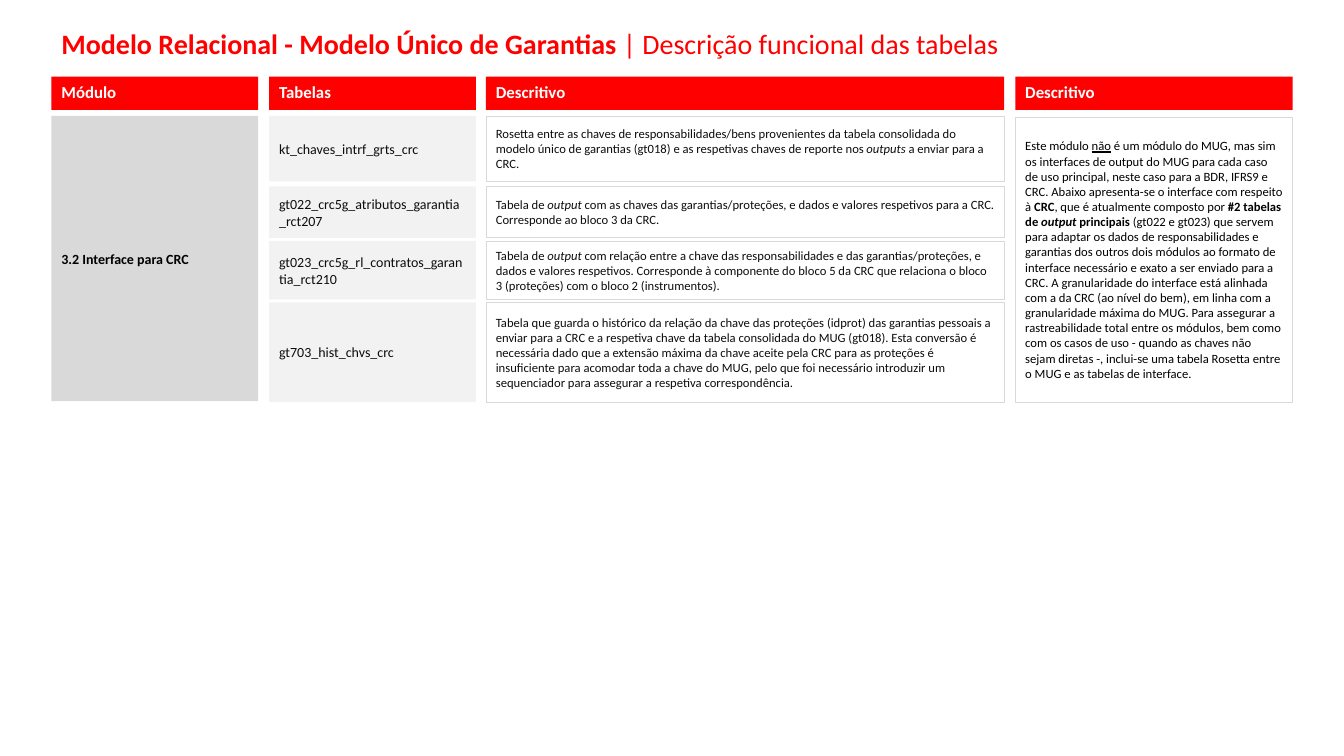
from collections import namedtuple
from pptx import Presentation
from pptx.dml.color import RGBColor
from pptx.enum.shapes import MSO_SHAPE
from pptx.enum.text import MSO_ANCHOR, PP_ALIGN
from pptx.util import Inches, Pt

Box = namedtuple("Box", "left top width height")
Style = namedtuple("Style", "fill color size bold line inset", defaults=(False, None, 0.05))

HEADER = Style("FF0000", "FFFFFF", 12, True)
MODULE = Style("D9D9D9", "000000", 10, True)
TABLE_NAME = Style("F2F2F2", "0D0D0D", 10)
DESCRIPTION = Style("FFFFFF", "0D0D0D", 9, line="D9D9D9", inset=0)
SUMMARY = Style("FFFFFF", "000000", 9, line="D9D9D9")

COLUMNS = [(0, 2.05), (2.16, 2.05), (4.31, 5.14), (9.56, 2.75)]
ROWS = [(0, 0.65), (0.7, 0.51), (1.24, 0.58), (1.85, 0.99)]
HEADINGS = ["Módulo", "Tabelas", "Descritivo", "Descritivo"]
TITLE = [
    ("Modelo Relacional - Modelo Único de Garantias ", "b"),
    ("| Descrição funcional das tabelas", ""),
]
TABLES = [
    ("kt_chaves_intrf_grts_crc", [
        ("Rosetta entre as chaves de responsabilidades/bens provenientes da tabela consolidada do modelo "
         "único de garantias (gt018) e as respetivas chaves de reporte nos ", ""),
        ("outputs", "i"),
        (" a enviar para a CRC.", "")]),
    ("gt022_crc5g_atributos_garantia_rct207", [
        ("Tabela de ", ""),
        ("output ", "i"),
        ("com as chaves das garantias/proteções, e dados e valores respetivos para a CRC. "
         "Corresponde ao bloco 3 da CRC.", "")]),
    ("gt023_crc5g_rl_contratos_garantia_rct210", [
        ("Tabela de ", ""),
        ("output", "i"),
        (" com relação entre a chave das responsabilidades e das garantias/proteções, e dados e valores "
         "respetivos. Corresponde à componente do bloco 5 da CRC que relaciona o bloco 3 (proteções) "
         "com o bloco 2 (instrumentos).", "")]),
    ("gt703_hist_chvs_crc", [
        ("Tabela que guarda o histórico da relação da chave das proteções (idprot) das garantias pessoais "
         "a enviar para a CRC e a respetiva chave da tabela consolidada do MUG (gt018). Esta conversão é "
         "necessária dado que a extensão máxima da chave aceite pela CRC para as proteções é insuficiente "
         "para acomodar toda a chave do MUG, pelo que foi necessário introduzir um sequenciador para "
         "assegurar a respetiva correspondência.", "")]),
]
SUMMARY_TEXT = [
    ("Este módulo ", ""),
    ("não", "u"),
    (" é um módulo do MUG, mas sim os interfaces de output do MUG para cada caso de uso principal, neste "
     "caso para a BDR, IFRS9 e CRC. Abaixo apresenta-se o interface com respeito à ", ""),
    ("CRC", "b"),
    (", que é atualmente composto por ", ""),
    ("#2 tabelas de ", "b"),
    ("output", "bi"),
    (" principais", "b"),
    (" (gt022 e gt023) que servem para adaptar os dados de responsabilidades e garantias dos outros dois "
     "módulos ao formato de interface necessário e exato a ser enviado para a CRC. A granularidade do "
     "interface está alinhada com a da CRC (ao nível do bem), em linha com a granularidade máxima do MUG. "
     "Para assegurar a rastreabilidade total entre os módulos, bem como com os casos de uso - quando as "
     "chaves não sejam diretas -, inclui-se uma tabela Rosetta entre o MUG e as tabelas de interface.", ""),
]


def paint(color_format, value):
    """Set a colour format to a hex value."""
    color_format.rgb = RGBColor.from_string(value)


def write_spans(frame, spans, size, color, bold=False):
    """Fill a frame with one paragraph of (text, b/i/u flags) spans."""
    frame.word_wrap = True
    para = frame.paragraphs[0]
    para.alignment = PP_ALIGN.LEFT
    for text, flags in spans:
        span = para.add_run()
        span.text = text
        span.font.name = "Calibri"
        span.font.size = Pt(size)
        span.font.bold = bold or "b" in flags
        span.font.italic = "i" in flags
        span.font.underline = "u" in flags
        paint(span.font.color, color)
    return para


def add_cell(page, box, spans, style, anchor=MSO_ANCHOR.MIDDLE):
    """Draw one filled rectangle with its text."""
    cell = page.shapes.add_shape(MSO_SHAPE.RECTANGLE, *map(Inches, box))
    cell.shadow.inherit = False
    cell.fill.solid()
    paint(cell.fill.fore_color, style.fill)
    if style.line:
        paint(cell.line.color, style.line)
        cell.line.width = Pt(0.5)
    else:
        cell.line.fill.background()
    frame = cell.text_frame
    frame.vertical_anchor = anchor
    frame.margin_top = frame.margin_bottom = Inches(style.inset)
    write_spans(frame, spans, style.size, style.color, style.bold)


def add_title(page, box):
    """Place the slide title."""
    title = page.shapes.add_textbox(*map(Inches, box))
    write_spans(title.text_frame, TITLE, 20, "FF0000").line_spacing = 0.9


def add_headings(page, box):
    """Place the red column headings."""
    for (offset, width), heading in zip(COLUMNS, HEADINGS):
        cell_box = Box(box.left + offset, box.top, width, box.height)
        add_cell(page, cell_box, [(heading, "")], HEADER, MSO_ANCHOR.TOP)


def add_body(page, box):
    """Place the module, its tables with descriptions, and the summary."""
    def column_box(column, top=0, height=box.height):
        offset, width = COLUMNS[column]
        return Box(box.left + offset, box.top + top, width, height)

    add_cell(page, column_box(0), [("3.2 Interface para CRC", "")], MODULE)
    for row, (name, description) in zip(ROWS, TABLES):
        add_cell(page, column_box(1, *row), [(name, "")], TABLE_NAME)
        add_cell(page, column_box(2, *row), description, DESCRIPTION)
    add_cell(page, column_box(3, 0.01), SUMMARY_TEXT, SUMMARY)


def main():
    """Build and save the slide."""
    deck = Presentation()
    deck.slide_width, deck.slide_height = Inches(13.33), Inches(7.5)
    page = deck.slides.add_slide(deck.slide_layouts[6])
    add_title(page, Box(0.51, 0.25, 10.22, 0.33))
    add_headings(page, Box(0.51, 0.76, 12.31, 0.33))
    add_body(page, Box(0.51, 1.15, 12.31, 2.83))
    deck.save("out.pptx")


if __name__ == "__main__":
    main()
